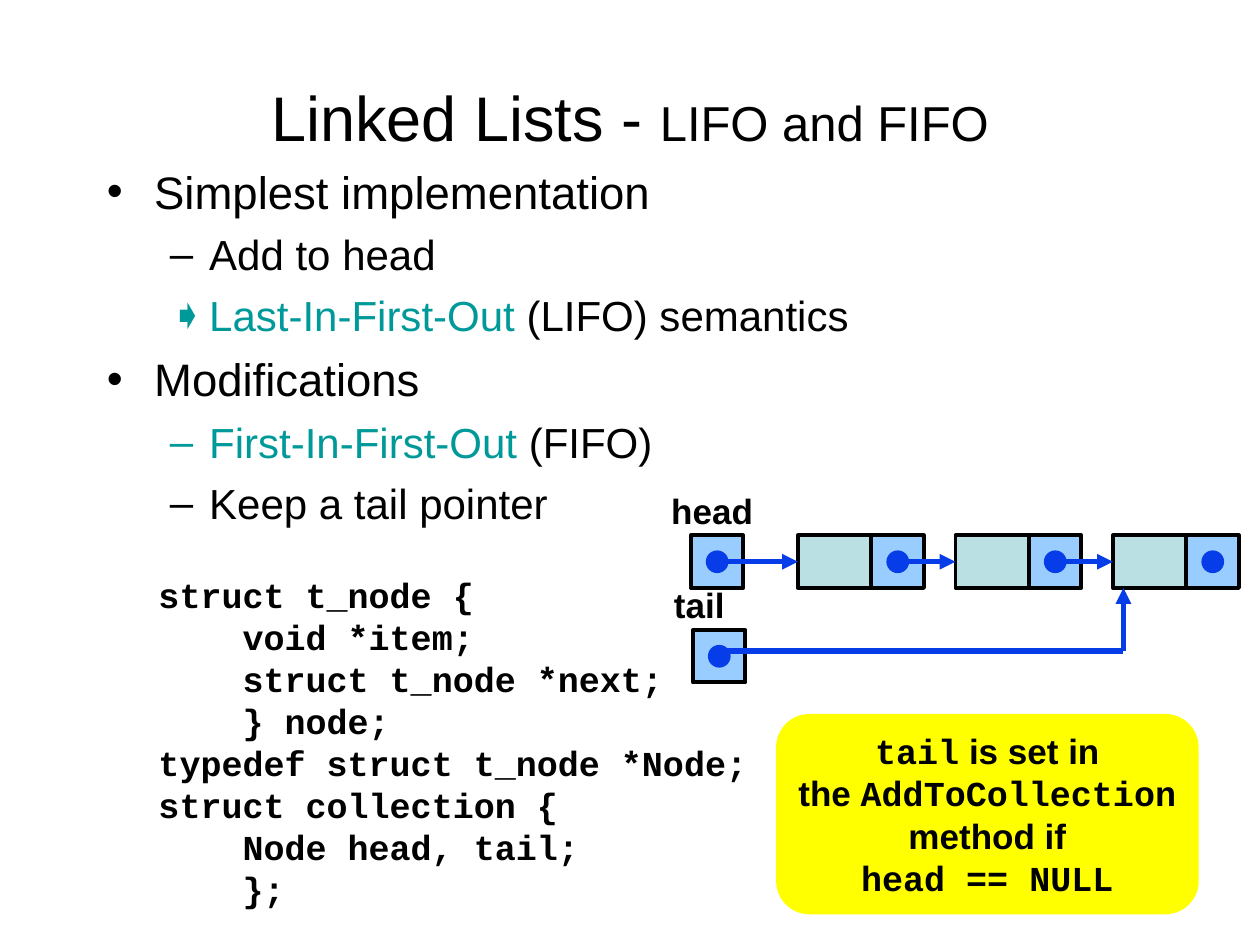
from lxml.etree import SubElement
from pptx import Presentation
from pptx.dml.color import RGBColor
from pptx.enum.shapes import MSO_CONNECTOR, MSO_SHAPE
from pptx.enum.text import MSO_ANCHOR, MSO_AUTO_SIZE, PP_ALIGN
from pptx.oxml.ns import qn
from pptx.util import Pt

SANS, MONO = "Arial", "Courier New"
BLACK, TEAL, BLUE = "000000", "009999", "063DE8"
PALE, SKY, YELLOW = "BBE0E3", "99CCFF", "FFFF00"


def color(fmt, value):
    fmt.rgb = RGBColor.from_string(value)


def write(frame, rows, bold=False, align=PP_ALIGN.LEFT):
    """Fill a frame; each row is a list of (text, size, font, colour) runs."""
    for i, row in enumerate(rows):
        para = frame.paragraphs[0] if i == 0 else frame.add_paragraph()
        para.alignment = align
        for text, size, face, tint in row:
            run = para.add_run()
            run.text = text
            run.font.size = Pt(size)
            run.font.name = face
            run.font.bold = bold
            color(run.font.color, tint)


deck = Presentation()
deck.slide_width, deck.slide_height = Pt(720), Pt(540)
slide = deck.slides.add_slide(deck.slide_layouts[6])
shapes = slide.shapes

# Title
title = shapes.add_textbox(Pt(36), Pt(21.6), Pt(648), Pt(90)).text_frame
title.word_wrap = True
title.vertical_anchor = MSO_ANCHOR.MIDDLE
write(title, [[("Linked Lists - ", 36, SANS, BLACK),
               ("LIFO and FIFO", 28, SANS, BLACK)]], align=PP_ALIGN.CENTER)

# Bullets: level, mark, mark colour, (text, colour) parts
points = [
    (0, "•", BLACK, [("Simplest implementation", BLACK)]),
    (1, "–", BLACK, [("Add to head", BLACK)]),
    (1, "➧", TEAL, [("Last-In-First-Out", TEAL), (" (LIFO) semantics", BLACK)]),
    (0, "•", BLACK, [("Modifications", BLACK)]),
    (1, "–", TEAL, [("First-In-First-Out", TEAL), (" (FIFO)", BLACK)]),
    (1, "–", BLACK, [("Keep a tail pointer", BLACK)]),
]
body = shapes.add_textbox(Pt(54), Pt(90), Pt(612), Pt(240)).text_frame
body.word_wrap = True
write(body, [[(text, 24 if level else 26, SANS, tint) for text, tint in parts]
             for level, mark, hue, parts in points])
for i, (para, (level, mark, hue, parts)) in enumerate(zip(body.paragraphs, points)):
    para.level = level
    props = para._p.get_or_add_pPr()
    left, hang = (58.5, 22.5) if level else (27, 27)
    props.set("marL", str(Pt(left)))
    props.set("indent", str(-Pt(hang)))
    SubElement(SubElement(props, qn("a:buClr")), qn("a:srgbClr"), val=hue)
    SubElement(props, qn("a:buFont"), typeface=SANS)
    SubElement(props, qn("a:buChar"), char=mark)
    if i:
        para.space_before = Pt(6 if level else 6.5)

# Note
note = shapes.add_shape(MSO_SHAPE.ROUNDED_RECTANGLE,
                        Pt(443.5), Pt(408), Pt(241.5), Pt(114.5))
note.shadow.inherit = False
note.fill.solid()
color(note.fill.fore_color, YELLOW)
note.line.fill.background()
note.text_frame.word_wrap = False
note.text_frame.vertical_anchor = MSO_ANCHOR.TOP
remarks = [
    [("tail", MONO), (" is set in", SANS)],
    [("the ", SANS), ("AddToCollection", MONO)],
    [("method if", SANS)],
    [("head == NULL", MONO)],
]
write(note.text_frame, [[(text, 20, face, BLACK) for text, face in row]
                        for row in remarks], bold=True, align=PP_ALIGN.CENTER)

# Nodes and pointers
TOP, ITEM, CELL, DOT = 306, 42, 30, 12
nodes = [456 + 90 * i for i in range(3)]
cells = [(x + ITEM, TOP) for x in nodes] + [(394.8, TOP), (396, 360)]
box, oval = MSO_SHAPE.RECTANGLE, MSO_SHAPE.OVAL
parts = [(box, x, TOP, ITEM, CELL, PALE, BLACK, 2.25) for x in nodes]
for x, y in cells:
    inset = (CELL - DOT) / 2
    parts.append((box, x, y, CELL, CELL, SKY, BLACK, 2.25))
    parts.append((oval, x + inset, y + inset, DOT, DOT, BLUE, BLUE, 1))
for kind, x, y, wide, high, tint, edge, weight in parts:
    part = shapes.add_shape(kind, Pt(x), Pt(y), Pt(wide), Pt(high))
    part.shadow.inherit = False
    part.fill.solid()
    color(part.fill.fore_color, tint)
    color(part.line.color, edge)
    part.line.width = Pt(weight)

# Code and pointer labels
code = """struct t_node {
    void *item;
    struct t_node *next;
    } node;
typedef struct t_node *Node;
struct collection {
    Node head, tail;
    };"""
texts = [
    (code, MONO, 83.5, 324, 354, 199.5),
    ("head", SANS, 376.5, 276, 64, 31.5),
    ("tail", SANS, 378, 330, 48, 31.5),
]
for text, face, x, y, wide, high in texts:
    frame = shapes.add_textbox(Pt(x), Pt(y), Pt(wide), Pt(high)).text_frame
    frame.word_wrap = False
    frame.auto_size = MSO_AUTO_SIZE.NONE
    write(frame, [[(line, 20, face, BLACK)] for line in text.splitlines()],
          bold=True)

# Arrows: from, to, with head
mid = TOP + CELL / 2
turn = 372
arrows = [(start, mid, end, mid, True)
          for start, end in zip([414, 510, 600], nodes)]
arrows += [(642, turn, 642, TOP + CELL, True), (414, turn, 642, turn, False)]
for x1, y1, x2, y2, head in arrows:
    arrow = shapes.add_connector(MSO_CONNECTOR.STRAIGHT,
                                 Pt(x1), Pt(y1), Pt(x2), Pt(y2))
    color(arrow.line.color, BLUE)
    arrow.line.width = Pt(3)
    if head:
        SubElement(arrow.line._get_or_add_ln(), qn("a:tailEnd"), type="triangle")
    SubElement(arrow._element.spPr, qn("a:effectLst"))

deck.save("out.pptx")
